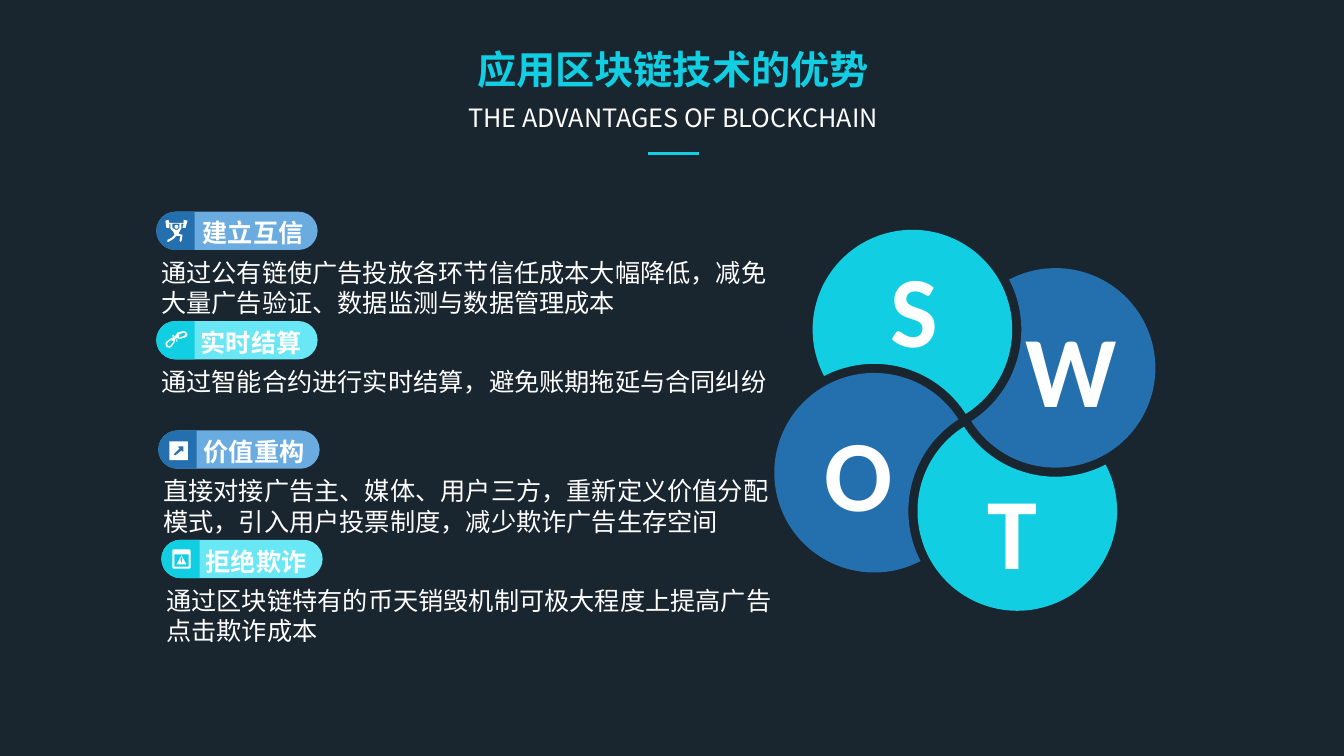
from dataclasses import dataclass
from math import acos, atan2, cos, hypot, pi, sin

from lxml.etree import SubElement
from pptx import Presentation
from pptx.dml.color import RGBColor
from pptx.enum.shapes import MSO_CONNECTOR, MSO_SHAPE
from pptx.enum.text import MSO_AUTO_SIZE, PP_ALIGN
from pptx.oxml.ns import qn
from pptx.shapes.base import BaseShape
from pptx.slide import Slide
from pptx.util import Inches, Pt

Point = tuple[float, float]
Contour = list[Point]

COLORS = {
    "night": "19252F",
    "cyan": "11CEE2",
    "blue": "2470AE",
    "pale_cyan": "6AE7F4",
    "pale_blue": "6AABE0",
    "white": "FFFFFF",
}
LATIN, CJK = "Calibri", "Noto Sans CJK SC"
HUB = (9.57, 4.17)
PETAL_OFFSET = (-0.52, -0.9)
PETAL_RADIUS, NOTCH_RADIUS = 0.99, 1.08
ARC_STEPS = 90
FIRST_ROW, ROW_STEP = 2.1, 1.085
PILL_LENGTH, PILL_HEIGHT = 1.6, 0.38

LIFTER = [
    [(11, 5), (12.5, 5.5), (13, 7), (12.5, 8.5), (11, 9), (9.5, 8.5), (9, 7), (9.5, 5.5)],
    [(22, 1), (20, 8), (17, 8), (18, 4), (16, 4), (16, 8), (14, 12), (13, 14), (17, 15),
     (17, 16), (16, 21), (15, 22), (14, 21), (15, 16), (11, 16), (8, 19), (3, 22), (2, 22),
     (2, 20), (6, 18), (9, 15), (8, 12), (5, 9), (5, 4), (4, 4), (4, 8), (1, 8), (0, 1),
     (3, 0), (4, 3), (18, 3), (18, 0)],
    [(14, 4), (7, 4), (7, 8), (10, 10), (12, 10), (14, 8)],
]
CHAIN = [
    [(10, 8), (9, 7), (8, 6.5), (5, 8), (1, 11), (0, 13), (1, 16), (4, 17), (6, 16), (9, 12)],
    [(8, 11), (5, 15), (3, 15.5), (2, 14), (2, 12), (6, 9), (7, 8), (6, 10), (8, 10)],
    [(21, 2), (19, 0.5), (17, 0.5), (12, 2), (10, 5), (9, 6), (10, 8), (11, 7), (13, 8),
     (15, 8), (19, 7), (21, 6), (22, 4)],
    [(19, 5), (14, 7), (13, 6), (14, 5), (13, 4), (18, 2), (20, 3)],
    [(11, 8), (12, 9), (12, 11), (11, 11)],
    [(7, 6), (7, 4), (9, 5), (9, 6)],
]
ARROW = [
    [(0, 0), (18.5, 0), (18.5, 18.5), (0, 18.5)],
    [(14, 10), (13, 10), (12, 9), (6, 14), (4, 13), (10, 7), (9, 6), (9, 5), (14, 5)],
]
WARNING = [
    [(1, 0), (17, 0), (18, 1), (18, 18), (17, 19), (1, 19), (0, 18), (0, 1)],
    [(2, 5), (16, 5), (16, 17), (2, 17)],
    [(9, 6), (14, 15), (4, 15)],
    [(8, 8), (10, 8), (9.5, 13), (8.5, 13)],
]


@dataclass
class Petal:
    letter: str
    color: str
    left: float
    top: float


@dataclass
class Advantage:
    label: str
    detail: str
    left: float
    label_left: float
    detail_width: float
    detail_height: float
    icon: list[Contour]
    icon_at: Point
    colors: tuple[str, str]
    font: str = LATIN


PETALS = [
    Petal("S", "cyan", 8.41, 2.38),
    Petal("W", "blue", 9.96, 2.97),
    Petal("T", "cyan", 9.38, 4.58),
    Petal("O", "blue", 7.86, 4),
]
BLUES, CYANS = ("pale_blue", "blue"), ("pale_cyan", "cyan")
ADVANTAGES = [
    Advantage("建立互信", "通过公有链使广告投放各环节信任成本大幅降低，减免大量广告验证、数据监测与数据管理成本",
              1.55, 1.89, 6.39, 1.03, LIFTER, (1.64, 2.18), BLUES),
    Advantage("实时结算", "通过智能合约进行实时结算，避免账期拖延与合同纠纷",
              1.55, 1.87, 6.32, 0.42, CHAIN, (1.64, 3.28), CYANS),
    Advantage("价值重构", "直接对接广告主、媒体、用户三方，重新定义价值分配模式，引入用户投票制度，减少欺诈广告生存空间",
              1.57, 1.9, 6.29, 0.73, ARROW, (1.68, 4.38), BLUES),
    Advantage("拒绝欺诈", "通过区块链特有的币天销毁机制可极大程度上提高广告点击欺诈成本",
              1.6, 1.92, 6.35, 0.73, WARNING, (1.71, 5.45), CYANS, CJK),
]


def rgb(color: str) -> RGBColor:
    return RGBColor.from_string(COLORS[color])


def paint(shape: BaseShape, color: str) -> None:
    shape.shadow.inherit = False
    shape.fill.solid()
    shape.fill.fore_color.rgb = rgb(color)
    shape.line.fill.background()


def draw_outline(slide: Slide, contours: list[Contour], color: str) -> None:
    scaled = [[(Inches(x), Inches(y)) for x, y in contour] for contour in contours]
    builder = slide.shapes.build_freeform(*scaled[0][0])
    builder.add_line_segments(scaled[0][1:])
    for contour in scaled[1:]:
        builder.move_to(*contour[0])
        builder.add_line_segments(contour[1:])
    paint(builder.convert_to_shape(), color)


def write(slide: Slide, text: str, left: float, top: float, width: float, height: float,
          size: float, color: str = "white", font: str = LATIN, bold: bool = False,
          centered: bool = False, wrap: bool = True, inset: Point = (0.12, 0.06)) -> None:
    box = slide.shapes.add_textbox(Inches(left), Inches(top), Inches(width), Inches(height))
    frame = box.text_frame
    frame.word_wrap = wrap
    frame.auto_size = MSO_AUTO_SIZE.SHAPE_TO_FIT_TEXT
    frame.margin_left = frame.margin_right = Inches(inset[0])
    frame.margin_top = frame.margin_bottom = Inches(inset[1])
    paragraph = frame.paragraphs[0]
    paragraph.text = text
    paragraph.alignment = PP_ALIGN.CENTER if centered else PP_ALIGN.LEFT
    paragraph.font.name = font
    paragraph.font.size = Pt(size)
    paragraph.font.bold = bold
    paragraph.font.color.rgb = rgb(color)


def arc(center: Point, radius: float, start: float, end: float) -> Contour:
    angles = [start + (end - start) * step / ARC_STEPS for step in range(ARC_STEPS + 1)]
    return [(center[0] + radius * cos(a), center[1] + radius * sin(a)) for a in angles]


def petal_center(quarter: int) -> Point:
    dx, dy = PETAL_OFFSET
    for _ in range(quarter % 4):
        dx, dy = -dy, dx
    return HUB[0] + dx, HUB[1] + dy


def petal_contour(quarter: int) -> Contour:
    own, neighbour = petal_center(quarter), petal_center(quarter - 1)
    dx, dy = neighbour[0] - own[0], neighbour[1] - own[1]
    gap, toward = hypot(dx, dy), atan2(dy, dx)
    outer = acos((PETAL_RADIUS**2 + gap**2 - NOTCH_RADIUS**2) / (2 * PETAL_RADIUS * gap))
    inner = acos((NOTCH_RADIUS**2 + gap**2 - PETAL_RADIUS**2) / (2 * NOTCH_RADIUS * gap))
    rim = arc(own, PETAL_RADIUS, toward + outer, toward + 2 * pi - outer)
    notch = arc(neighbour, NOTCH_RADIUS, toward + pi + inner, toward + pi - inner)
    return rim + notch


def draw_capsule(slide: Slide, left: float, top: float, length: float, rotation: int,
                 far_rounding: float, color: str) -> None:
    shift = (length - PILL_HEIGHT) / 2
    capsule = slide.shapes.add_shape(
        MSO_SHAPE.ROUND_2_SAME_RECTANGLE, Inches(left + shift), Inches(top - shift),
        Inches(PILL_HEIGHT), Inches(length))
    capsule.rotation = rotation
    capsule.adjustments[0] = 0.5
    capsule.adjustments[1] = far_rounding
    paint(capsule, color)


def draw_advantage(slide: Slide, item: Advantage, top: float) -> None:
    pill, cap = item.colors
    write(slide, item.detail, item.left - 0.07, top + 0.39, item.detail_width,
          item.detail_height, 18, font=item.font)
    draw_capsule(slide, item.left, top, PILL_LENGTH, 90, 0.5, pill)
    draw_capsule(slide, item.left, top, PILL_HEIGHT, 270, 0, cap)
    write(slide, item.label, item.label_left, top, 1.25, 0.42, 18, bold=True, wrap=False)
    left, icon_top = item.icon_at
    icon = [[(left + x / 100, icon_top + y / 100) for x, y in contour] for contour in item.icon]
    draw_outline(slide, icon, "white")


def main() -> None:
    deck = Presentation()
    deck.slide_width, deck.slide_height = Inches(13.33), Inches(7.5)
    slide = deck.slides.add_slide(deck.slide_layouts[6])
    slide.background.fill.solid()
    slide.background.fill.fore_color.rgb = rgb("night")

    for quarter, petal in enumerate(PETALS):
        draw_outline(slide, [petal_contour(quarter)], petal.color)
    for petal in PETALS:
        write(slide, petal.letter, petal.left, petal.top, 1.32, 1.35, 72, bold=True,
              centered=True, inset=(0.13, 0.07))
    for row, item in enumerate(ADVANTAGES):
        draw_advantage(slide, item, FIRST_ROW + row * ROW_STEP)

    write(slide, "应用区块链技术的优势", 4, 0.4, 5.35, 0.57, 28, "cyan", bold=True,
          centered=True, inset=(0.1, 0.05))
    write(slide, "THE ADVANTAGES OF BLOCKCHAIN", 3.4, 0.97, 6.55, 0.4, 18, font=CJK,
          centered=True, inset=(0.1, 0.05))
    rule = slide.shapes.add_connector(
        MSO_CONNECTOR.STRAIGHT, Inches(6.43), Inches(1.52), Inches(6.93), Inches(1.52))
    rule.line.color.rgb = rgb("cyan")
    rule.line.width = Pt(2)
    SubElement(rule._element.spPr, qn("a:effectLst"))
    deck.save("out.pptx")


if __name__ == "__main__":
    main()
